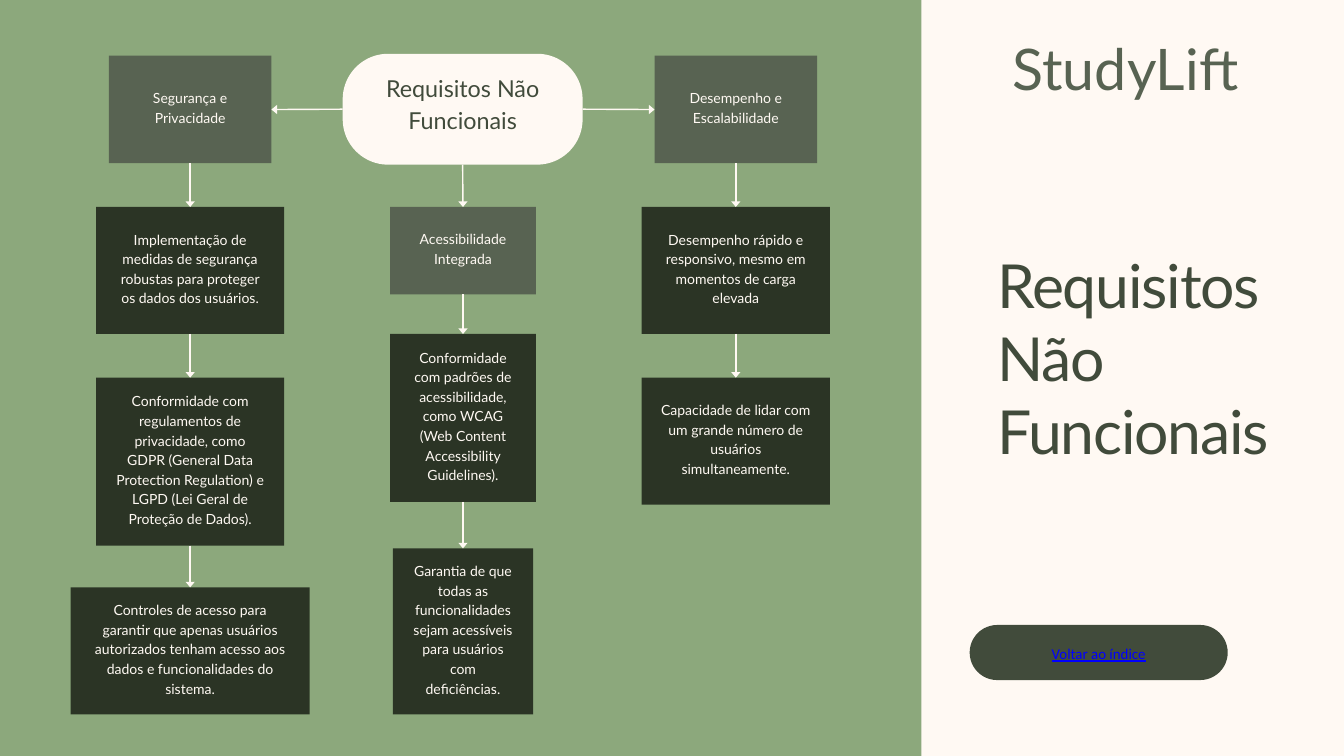
"""Build the slide with the tree of non-functional requirements."""
from lxml import etree
from pptx import Presentation
from pptx import util as u
from pptx.dml.color import RGBColor
from pptx.enum import shapes, text
from pptx.oxml.ns import qn

SAGE = RGBColor(0x8C, 0xA8, 0x7C)
CREAM = RGBColor(0xFF, 0xF9, 0xF3)
MOSS = RGBColor(0x58, 0x63, 0x52)
FOREST = RGBColor(0x2B, 0x34, 0x25)
OLIVE = RGBColor(0x41, 0x4B, 0x3B)
BLUE = RGBColor(0x00, 0x00, 0xFF)

TITLE = "Requisitos Não Funcionais"
BRAND = "StudyLift"
BUTTON = "Voltar ao índice"

COLUMNS = [
    (2.83, [
        ("Segurança e Privacidade", 0.83, 2.42, 1.6),
        ("Implementação de medidas de segurança robustas para proteger os dados dos usuários.",
         3.08, 2.8, 1.89),
        ("Conformidade com regulamentos de privacidade, como GDPR (General Data Protection "
         "Regulation) e LGPD (Lei Geral de Proteção de Dados).", 5.62, 2.8, 2.5),
        ("Controles de acesso para garantir que apenas usuários autorizados tenham acesso aos "
         "dados e funcionalidades do sistema.", 8.74, 3.56, 1.89),
    ]),
    (6.89, [
        ("Acessibilidade Integrada", 3.08, 2.17, 1.3),
        ("Conformidade com padrões de acessibilidade, como WCAG (Web Content Accessibility "
         "Guidelines).", 4.97, 2.17, 2.5),
        ("Garantia de que todas as funcionalidades sejam acessíveis para usuários com "
         "deficiências.", 8.16, 2.09, 2.47),
    ]),
    (10.95, [
        ("Desempenho e Escalabilidade", 0.83, 2.42, 1.6),
        ("Desempenho rápido e responsivo, mesmo em momentos de carga elevada", 3.08, 2.8, 1.89),
        ("Capacidade de lidar com um grande número de usuários simultaneamente.",
         5.62, 2.8, 1.89),
    ]),
]

CENTER, LEFT = text.PP_ALIGN.CENTER, text.PP_ALIGN.LEFT
MIDDLE, TOP = text.MSO_ANCHOR.MIDDLE, text.MSO_ANCHOR.TOP
TOP_SIDE, LEFT_SIDE, BOTTOM_SIDE, RIGHT_SIDE = range(4)

NODE_TEXT = dict(size=15, color=CREAM, leading=21, insets=(0.28, 0.28, 0.28, 0.37))
HUB_TEXT = dict(size=25, color=OLIVE, leading=35, insets=(0.28, 0.28, 0.28, 0.5))
BUTTON_TEXT = dict(size=16, color=BLUE, leading=20.8, font="Calibri", underline=True)
BRAND_TEXT = dict(size=61.4, color=MOSS, leading=85.9, anchor=TOP)
TITLE_TEXT = dict(size=65, color=OLIVE, leading=78, anchor=TOP, align=LEFT)


def write(box, words, size, color, leading, insets=(0, 0, 0, 0), anchor=MIDDLE,
          align=CENTER, font="Lato", underline=None):
    left, top, right, bottom = map(u.Inches, insets)
    frame = box.text_frame
    frame_format = dict(word_wrap=True, auto_size=text.MSO_AUTO_SIZE.NONE, vertical_anchor=anchor,
                        margin_left=left, margin_top=top, margin_right=right,
                        margin_bottom=bottom)
    for name, value in frame_format.items():
        setattr(frame, name, value)
    para = frame.paragraphs[0]
    para.alignment, para.line_spacing = align, u.Pt(leading)
    span = para.add_run()
    span.text = words
    for name, value in dict(name=font, size=u.Pt(size), underline=underline).items():
        setattr(span.font, name, value)
    span.font.color.rgb = color
    return span


def add_block(page, kind, left, top, width, height, fill):
    box = page.shapes.add_shape(kind, *map(u.Inches, (left, top, width, height)))
    box.shadow.inherit = False
    box.fill.solid()
    box.fill.fore_color.rgb = fill
    box.line.fill.background()
    return box


def add_arrow(page, source, source_side, target, target_side):
    arrow = page.shapes.add_connector(shapes.MSO_CONNECTOR.STRAIGHT, 0, 0, 0, 0)
    arrow.begin_connect(source, source_side)
    arrow.end_connect(target, target_side)
    arrow.line.color.rgb = CREAM
    arrow.line.width = u.Pt(1.5)
    head = dict(type="triangle", w="lg", len="med")
    etree.SubElement(arrow.line._get_or_add_ln(), qn("a:tailEnd"), head)
    etree.SubElement(arrow._element.spPr, qn("a:effectLst"))


def add_tree(page):
    rectangle, rounded = shapes.MSO_SHAPE.RECTANGLE, shapes.MSO_SHAPE.ROUNDED_RECTANGLE
    hub = add_block(page, rounded, 5.1, 0.8, 3.57, 1.65, CREAM)
    hub.adjustments[0] = 0.41
    write(hub, TITLE, **HUB_TEXT)
    hub_links = [(LEFT_SIDE, RIGHT_SIDE), (BOTTOM_SIDE, TOP_SIDE), (RIGHT_SIDE, LEFT_SIDE)]
    for (center, nodes), hub_link in zip(COLUMNS, hub_links):
        source, (source_side, target_side) = hub, hub_link
        for index, (words, top, width, height) in enumerate(nodes):
            fill = FOREST if index else MOSS
            node = add_block(page, rectangle, center - width / 2, top, width, height, fill)
            write(node, words, **NODE_TEXT)
            add_arrow(page, source, source_side, node, target_side)
            source, source_side, target_side = node, BOTTOM_SIDE, TOP_SIDE


def add_side_panel(page):
    panel = add_block(page, shapes.MSO_SHAPE.RECTANGLE, 13.71, 0, 6.29, 11.25, CREAM)
    page.shapes._spTree.insert(2, panel._element)

    title = page.shapes.title
    place = dict(left=14.84, top=3.69, width=4.33, height=3.4)
    for name, value in place.items():
        setattr(title, name, u.Inches(value))
    span = write(title, TITLE, **TITLE_TEXT)
    span._r.get_or_add_rPr().set("spc", "-130")

    brand = page.shapes.add_textbox(*map(u.Inches, (14.84, 0.33, 3.82, 1.21)))
    write(brand, BRAND, **BRAND_TEXT)

    button = add_block(page, shapes.MSO_SHAPE.ROUNDED_RECTANGLE, 14.43, 9.3, 3.84, 0.82, OLIVE)
    button.adjustments[0] = 0.5
    write(button, BUTTON, **BUTTON_TEXT)


def main():
    deck = Presentation()
    deck.slide_width, deck.slide_height = u.Inches(20), u.Inches(11.25)
    page = deck.slides.add_slide(deck.slide_layouts.get_by_name("Title Only"))
    page.background.fill.solid()
    page.background.fill.fore_color.rgb = SAGE
    add_side_panel(page)
    add_tree(page)
    deck.save("out.pptx")


if __name__ == "__main__":
    main()
